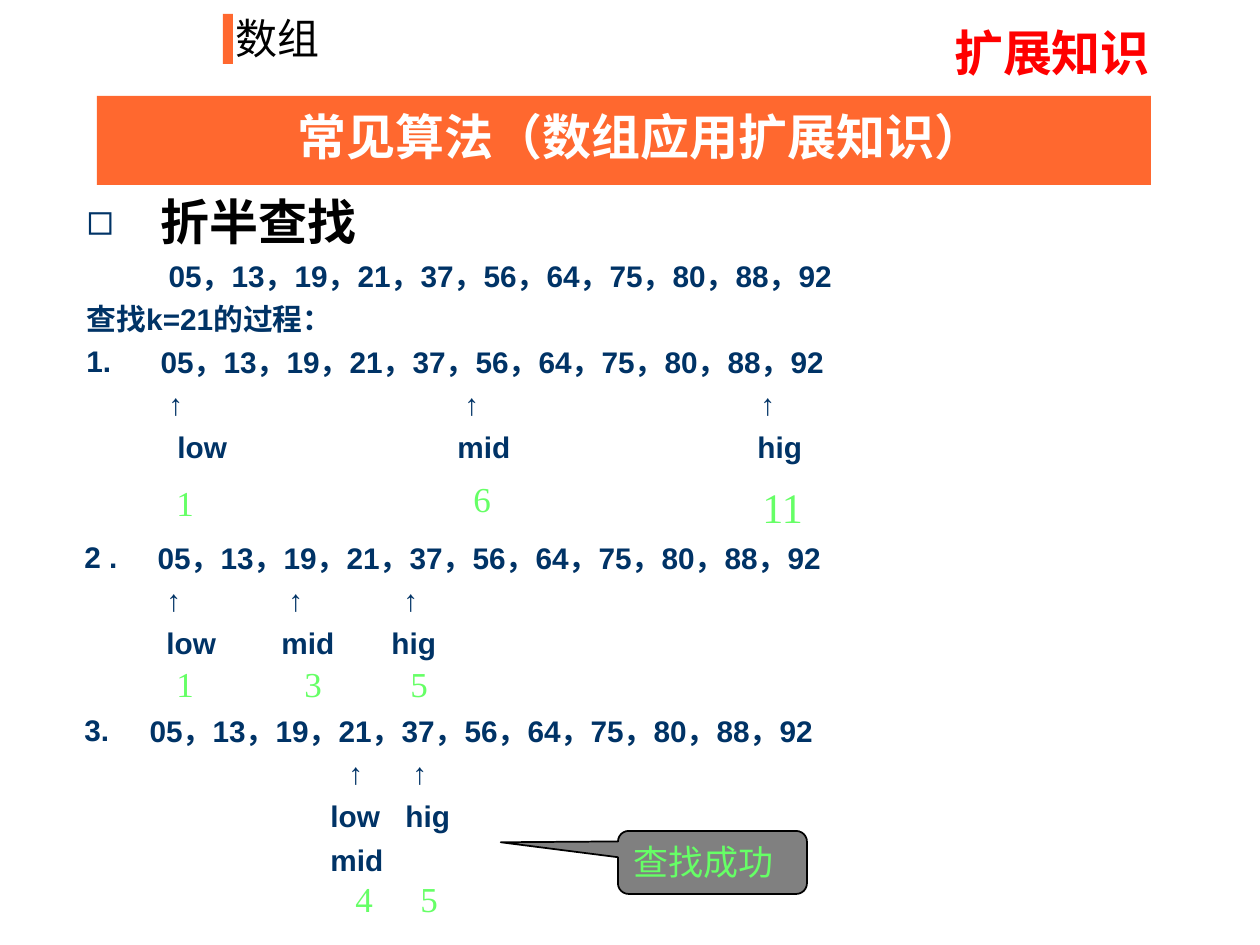
import pptx
import pptx.util
import pptx.dml.color
import pptx.enum.shapes
import pptx.enum.text
import pptx.oxml.ns
import lxml.etree

HUE = {"bar": "FF682F", "ink": "000000", "pale": "FFFFFF", "hot": "FF0000",
       "navy": "003366", "lime": "66FF66", "gray": "808080"}
CJK, SANS, SERIF = "Noto Sans CJK SC", "Arial", "Times New Roman"
NUMS = "05，13，19，21，37，56，64，75，80，88，92"
GAP, JUMP, PAD = 4.2, 78.8, 13

HEAD = "折半查找"
FIRST = [(169, NUMS, GAP), (87, "查找k=21的过程：", GAP), (161, NUMS, GAP)]
SECOND = [(158, NUMS, GAP), (150, NUMS, JUMP)]
STEPS = [("1.", 87, 337), ("2 .", 85, 533), ("3.", 85, 706)]
ARROWS = [
    (380, [(169, 178, ["low"]), (465, 458, ["mid"]), (761, 758, ["hig"])]),
    (576, [(167, 167, ["low"]), (289, 282, ["mid"]), (404, 392, ["hig"])]),
    (749, [(349, 331, ["low", "mid"]), (413, 406, ["hig"])]),
]
MARKS = [
    ("1", 164, 475, 20), ("6", 461, 471, 20), ("11", 750, 475, 24),
    ("1", 164, 656, 20), ("3", 292, 656, 20), ("5", 398, 656, 20),
    ("4", 343, 871, 20), ("5", 408, 871, 20),
]
KIND = pptx.enum.shapes.MSO_SHAPE
ALIGN = pptx.enum.text.PP_ALIGN


def px(n):
    return pptx.util.Emu(n * 914400 // 126)


def rgb(name):
    return pptx.dml.color.RGBColor.from_string(HUE[name])


def sub(node, tag, **attrs):
    return lxml.etree.SubElement(node, pptx.oxml.ns.qn("a:" + tag), **attrs)


def place(shape, x, y, w, h):
    shape.left, shape.top, shape.width, shape.height = map(px, (x, y, w, h))
    frame = shape.text_frame
    frame.word_wrap = True
    frame.auto_size = pptx.enum.text.MSO_AUTO_SIZE.NONE
    frame.vertical_anchor = pptx.enum.text.MSO_ANCHOR.TOP
    return frame


def add_run(para, text, size, face, hue, bold=False):
    run = para.add_run()
    run.text = text
    font = run.font
    font.size, font.name, font.bold = pptx.util.Pt(size), face, bold
    font.color.rgb = rgb(hue)
    sub(run._r.get_or_add_rPr(), "ea", typeface=CJK)


def label(shape, box, text, size, face, hue, bold=False, side=ALIGN.LEFT, gap=0):
    para = place(shape, *box).paragraphs[0]
    para.alignment = side
    para.space_before = pptx.util.Pt(gap)
    add_run(para, text, size, face, hue, bold)


def block(shape, hue, line=None):
    shape.shadow.inherit = False
    shape.fill.solid()
    shape.fill.fore_color.rgb = rgb(hue)
    if line:
        shape.line.color.rgb = rgb(line)
        shape.line.width = pptx.util.Pt(1)
    else:
        shape.line.fill.background()
    return shape


def add_rows(frame, rows, base):
    for x, text, gap in rows:
        para = frame.paragraphs[0]
        if para.runs:
            para = frame.add_paragraph()
        para.space_before = pptx.util.Pt(gap)
        props = para._p.get_or_add_pPr()
        props.set("marL", str(px(x - base)))
        props.set("indent", "0")
        sub(props, "buNone")
        add_run(para, text, 17, SANS, "navy", True)


def add_head(para):
    para.space_before = pptx.util.Pt(7)
    props = para._p.get_or_add_pPr()
    props.set("marL", str(px(74)))
    props.set("indent", str(-px(74)))
    sub(sub(props, "buClr"), "srgbClr", val=HUE["navy"])
    sub(props, "buSzPct", val="90000")
    sub(props, "buFont", typeface=SANS)
    sub(props, "buChar", char="◻")
    add_run(para, HEAD, 28, SANS, "ink", True)


def main():
    deck = pptx.Presentation()
    deck.slide_width, deck.slide_height = px(1260), px(945)
    slide = deck.slides.add_slide(deck.slide_layouts[3])
    shapes = slide.shapes
    title, left, right = list(slide.placeholders)[:3]
    for extra in list(slide.placeholders)[3:]:
        extra._element.getparent().remove(extra._element)

    def text_box():
        return shapes.add_textbox(0, 0, 0, 0)

    for box in ((223, 14, 10, 50), (97, 96, 1054, 89)):
        bar = block(shapes.add_shape(KIND.RECTANGLE, *map(px, box)), "bar")
        title._element.addprevious(bar._element)

    label(title, (164, 100, 953, 72), "常见算法（数组应用扩展知识）", 28, CJK, "pale",
          True, ALIGN.CENTER)
    label(text_box(), (223, 6, 325, 63), "数组", 24, CJK, "ink")
    label(text_box(), (878, 16, 348, 72), "扩展知识", 28, CJK, "hot", True,
          ALIGN.CENTER)

    frame = place(left, 74, 185, 1063, 200)
    add_head(frame.paragraphs[0])
    add_rows(frame, FIRST, 74 + PAD)
    add_rows(place(right, 72, 533, 1008, 220), SECOND, 72 + PAD)

    for text, x, y in STEPS:
        label(text_box(), (x - PAD, y, 72, 48), text, 17, SANS, "navy", True)

    for y, group in ARROWS:
        for tip, word, names in group:
            base = min(tip, word)
            rows = [(tip, "↑", GAP)] + [(word, name, GAP) for name in names]
            frame = place(text_box(), base - PAD, y, 100, 12 + 43 * len(rows))
            add_rows(frame, rows, base)

    for text, x, y, size in MARKS:
        label(text_box(), (x, y, 84, 55), text, size, SERIF, "lime",
              gap=size * 0.625)

    note = block(shapes.add_shape(KIND.ROUNDED_RECTANGULAR_CALLOUT, 0, 0, 0, 0),
                 "gray", "ink")
    for i, value in enumerate((-1.12, -0.32, 0.17)):
        note.adjustments[i] = value
    label(note, (618, 831, 189, 63), "查找成功", 20, SERIF, "lime", gap=12.5)
    deck.save("out.pptx")


if __name__ == "__main__":
    main()
